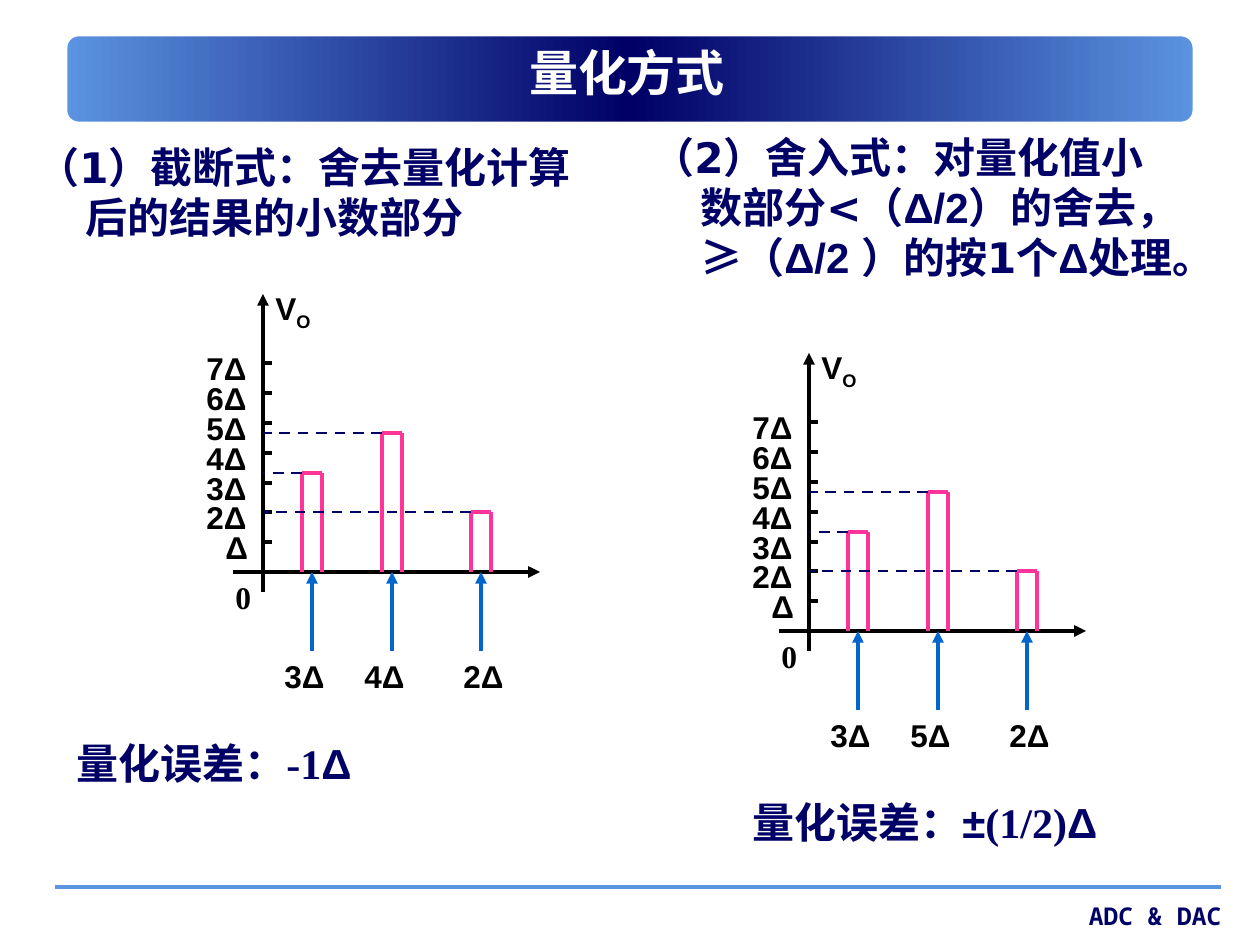
import copy
import pptx
import pptx.util
import pptx.dml.color
import pptx.enum.dml
import pptx.enum.lang
import pptx.enum.shapes
import pptx.enum.text
import pptx.oxml

PX = 914400 // 126
NAVY, SKY, BLACK, WHITE = "000066", "5B94E1", "000000", "FFFFFF"
PINK, BLUE = "FF3399", "0066CC"
SANS, ARIAL, TIMES, MONO = "DejaVu Sans", "Arial", "Times New Roman", "Noto Sans Mono"

# Content: each text is a list of (wording, font)
TITLE = [("量化方式", SANS)]
FOOTER = [("ADC & DAC", MONO)]
METHODS = [
    ((25, 135, 585, 709), [("（1）截断式：舍去量化计算后的结果的小数部分", SANS)]),
    ((640, 125, 557, 719), [
        ("（2）舍入式：对量化值小数部分<（", SANS), ("Δ/2", ARIAL),
        ("）的舍去，≥（", SANS), ("Δ/2 ", ARIAL),
        ("）的按1个", SANS), ("Δ处理。", ARIAL)]),
]
ERRORS = [
    ((64, 731, 348, 63), [("量化误差：-1", TIMES), ("Δ", ARIAL)]),
    ((740, 790, 451, 63), [
        ("量化误差：", TIMES), ("±", ARIAL), ("(1/2)", TIMES), ("Δ", ARIAL)]),
]
CHARTS = [  # origin, quantised results
    ((263, 572), ["3Δ", "4Δ", "2Δ"]),
    ((809, 631), ["3Δ", "5Δ", "2Δ"]),
]
BARS = [(39, 99, 9), (119, 139, 89), (208, 60, 188)]  # left, height, label left
LEVELS = ["Δ", "2Δ", "3Δ", "4Δ", "5Δ", "6Δ", "7Δ"]
LEVEL_STEP, BAR_WIDTH, ARROW_LENGTH, TICK = 29.8, 20, 79, 9
LABEL_WIDTH, LABEL_HEIGHT = 79, 50

deck = pptx.Presentation()
deck.slide_width, deck.slide_height = 1260 * PX, 945 * PX
page = deck.slides.add_slide(deck.slide_layouts[6])


def emu(*lengths):
    return [round(length) * PX for length in lengths]


def colour(value):
    return pptx.dml.color.RGBColor.from_string(value)


def add_text(place, runs, size, ink, align="LEFT", anchor="TOP", fit=True, hanging=0):
    box = page.shapes.add_textbox(*emu(*place))
    frame = box.text_frame
    sizing = pptx.enum.text.MSO_AUTO_SIZE
    frame_format = {
        "word_wrap": True,
        "auto_size": sizing.SHAPE_TO_FIT_TEXT if fit else sizing.NONE,
        "vertical_anchor": pptx.enum.text.MSO_ANCHOR[anchor],
    }
    for name, value in frame_format.items():
        setattr(frame, name, value)
    para = frame.paragraphs[0]
    para.alignment = pptx.enum.text.PP_ALIGN[align]
    if hanging:
        properties = para._p.get_or_add_pPr()
        properties.set("marL", str(hanging * PX))
        properties.set("indent", str(-hanging * PX))
    for wording, family in runs:
        span = para.add_run()
        span.text = wording
        span_format = {
            "name": family, "size": pptx.util.Pt(size), "bold": True,
            "language_id": pptx.enum.lang.MSO_LANGUAGE_ID.SIMPLIFIED_CHINESE,
        }
        for name, value in span_format.items():
            setattr(span.font, name, value)
        span.font.color.rgb = colour(ink)
    return para


def add_line(start, end, ink, width=2.25, arrow=False, dashed=False):
    line = page.shapes.add_connector(
        pptx.enum.shapes.MSO_CONNECTOR.STRAIGHT, *emu(*start, *end))
    line.line.color.rgb = colour(ink)
    line.line.width = pptx.util.Pt(width)
    if dashed:
        line.line.dash_style = pptx.enum.dml.MSO_LINE.DASH
    if arrow:
        head = pptx.oxml.parse_xml(
            '<a:tailEnd xmlns:a="http://schemas.openxmlformats.org/drawingml/2006/main"'
            ' type="triangle"/>')
        line.line._get_or_add_ln().append(head)
    line._element.spPr.append(pptx.oxml.parse_xml(
        '<a:effectLst xmlns:a="http://schemas.openxmlformats.org/drawingml/2006/main"/>'))


def add_banner():
    banner = page.shapes.add_shape(
        pptx.enum.shapes.MSO_SHAPE.ROUNDED_RECTANGLE, *emu(63, 32, 1134, 94))
    banner.shadow.inherit = False
    banner.line.color.rgb = colour(WHITE)
    banner.line.width = pptx.util.Pt(5)
    banner.fill.gradient()
    banner.fill.gradient_angle = 0
    stops = banner.fill.gradient_stops
    last = stops[1]._gs
    last.addprevious(copy.deepcopy(last))
    for stop, (position, ink) in zip(
            banner.fill.gradient_stops, [(0, SKY), (0.5, NAVY), (1, SKY)]):
        stop.color.rgb = colour(ink)
        stop.position = position


def add_chart_drawing(origin, results):
    left, base = origin

    def at(x, y):
        return left + x, base - y

    def label(x, y, wording, width=LABEL_WIDTH, family=ARIAL):
        return add_text((*at(x, y), width, LABEL_HEIGHT), [(wording, family)], 18, BLACK)

    # Axes
    add_line(at(0, -20), at(0, 278), BLACK, arrow=True)
    add_line(at(-30, 0), at(277, 0), BLACK, arrow=True)
    label(-40, 0, "0", 30, TIMES)
    axis_name = label(0, 289, "V")
    subscript = axis_name.add_run()
    subscript.text = "O"
    subscript._r.insert(0, copy.deepcopy(axis_name.runs[0]._r.rPr))
    subscript._r.rPr.set("baseline", "-25000")

    # Level ticks and labels
    for number, wording in enumerate(LEVELS, 1):
        height = LEVEL_STEP * number
        add_line(at(0, height), at(TICK, height), BLACK)
        narrow = number == 1
        label(-50 if narrow else -69, height + 20, wording, 49 if narrow else LABEL_WIDTH)

    # Samples: bar, dashed level, arrow and result
    for (x, height, label_x), result in zip(BARS, results):
        right, middle = x + BAR_WIDTH, x + BAR_WIDTH / 2
        corners = [at(right, 0), at(right, height), at(x, height), at(x, 0)]
        for start, end in zip(corners, corners[1:]):
            add_line(start, end, PINK)
        add_line(at(x, height), at(0, height), NAVY, 1.5, dashed=True)
        add_line(at(middle, -ARROW_LENGTH), at(middle, 0), BLUE, arrow=True)
        label(label_x, -ARROW_LENGTH, result)


# Frame of the page
add_banner()
add_line((55, 887), (1221, 887), SKY, 2)
add_text((935, 895, 299, 42), FOOTER, 14, NAVY, align="RIGHT")
add_text((96, 38, 1062, 67), TITLE, 28, WHITE, align="CENTER", anchor="MIDDLE", fit=False)

# The two methods
for place, runs in METHODS:
    add_text(place, runs, 24, NAVY, fit=False, hanging=48)
for origin, results in CHARTS:
    add_chart_drawing(origin, results)
for place, runs in ERRORS:
    add_text(place, runs, 24, NAVY)

deck.save("out.pptx")
